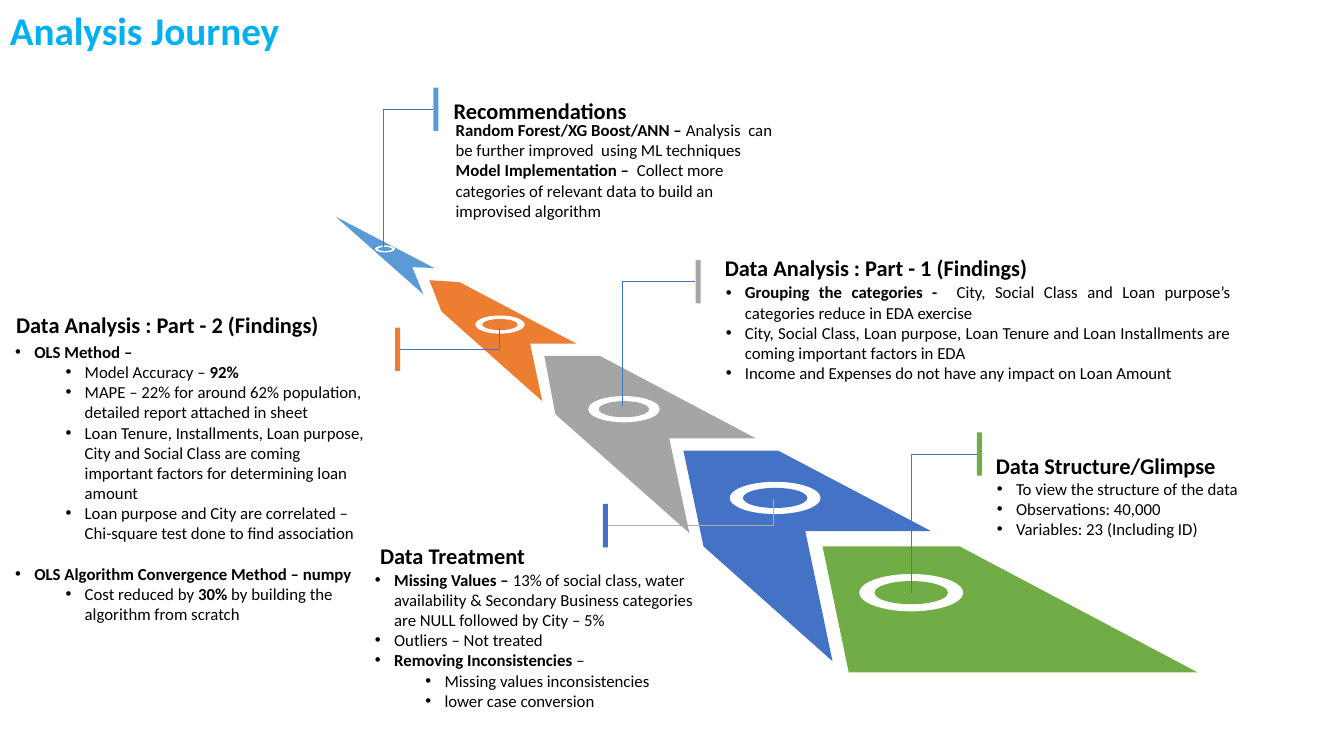
from pptx import Presentation
from pptx import util as u
from pptx.dml.color import RGBColor
from pptx.enum import shapes, text
from pptx.oxml.ns import qn
from lxml import etree

PX = 9144
C = {"green": "70AD47", "gray": "A5A5A5", "orange": "ED7D31", "sky": "5B9BD5",
     "blue": "4472C4", "white": "FFFFFF", "black": "000000", "title": "00B0F0",
     "silver": "AFABAB"}

prs = Presentation()
prs.slide_width, prs.slide_height = u.Inches(13.333), u.Inches(7.5)
s = prs.slides.add_slide(prs.slide_layouts[6])


def add_text(paras, x, y, w, h, size=12, color="black", inset=0, bullet=True,
             anchor=text.MSO_ANCHOR.TOP, align=text.PP_ALIGN.LEFT, spacing=1.0):
    tf = s.shapes.add_textbox(x * PX, y * PX, w * PX, h * PX).text_frame
    tf.word_wrap = True
    tf.vertical_anchor = anchor
    tf.margin_left = tf.margin_right = inset * PX
    tf.margin_top = tf.margin_bottom = 5 * PX
    for i, (level, before, content) in enumerate(paras):
        p = tf.paragraphs[0] if i == 0 else tf.add_paragraph()
        p.level, p.alignment, p.line_spacing = level, align, spacing
        p.space_before = u.Pt(before)
        if bullet:
            pPr = p._p.get_or_add_pPr()
            pPr.set("marL", str((19 + 50 * level) * PX))
            pPr.set("indent", str(-19 * PX))
            etree.SubElement(pPr, qn("a:buFont")).set("typeface", "Arial")
            etree.SubElement(pPr, qn("a:buChar")).set("char", "•")
        for j, part in enumerate(content.split("**")):
            if part:
                r = p.add_run()
                r.text = part
                r.font.name, r.font.size, r.font.bold = "Calibri", u.Pt(size), j % 2 == 1
                r.font.color.rgb = RGBColor.from_string(C[color])


def paint(sp, color):
    sp.shadow.inherit = False
    sp.fill.solid()
    sp.fill.fore_color.rgb = RGBColor.from_string(C[color])
    sp.line.fill.background()


stages = [
    ("green", [(816, 542), (952, 542), (1188, 667), (842, 667)],
     (904, 588, 103), (969, 429), 1, (904, 588), "blue"),
    ("gray", [(664, 435), (750, 435), (595, 353), (540, 353), (551, 411), (684, 529)],
     (619, 406, 71), (690, 258), 1, (617, 403), "blue"),
    ("orange", [(526, 341), (572, 341), (456, 280), (426, 278), (438, 309), (538, 398)],
     (496, 322, 49), (392, 325), 3, (495, 325), "blue"),
    ("sky", [(409, 265), (431, 266), (333, 215), (420, 292)],
     (382, 247, 20), (430, 87), 1, (380, 245), "blue"),
    ("blue", [(799, 527), (924, 527), (772, 447), (678, 447), (698, 542), (826, 656)],
     (769, 494, 90), (598, 500), 3, (767, 495), "silver"),
]

for color, outline, (cx, cy, width), (bar_x, bar_y), side, (end_x, end_y), line in stages:
    fb = s.shapes.build_freeform(*outline[0], scale=PX)
    fb.add_line_segments(outline[1:], close=True)
    paint(fb.convert_to_shape(), color)
    height = width * 0.36
    for w, h, fill in [(width, height, "white"), (width * 0.71, height * 0.62, color)]:
        w, h = round(w), round(h)
        paint(s.shapes.add_shape(shapes.MSO_SHAPE.OVAL, int((cx - w / 2) * PX),
                                 int((cy - h / 2) * PX), w * PX, h * PX), fill)
    bar = s.shapes.add_shape(shapes.MSO_SHAPE.RECTANGLE, bar_x * PX, bar_y * PX, 5 * PX, 43 * PX)
    paint(bar, color)
    link = s.shapes.add_connector(shapes.MSO_CONNECTOR.ELBOW, bar_x * PX, (bar_y + 21) * PX,
                                  end_x * PX, end_y * PX)
    link.begin_connect(bar, side)
    link.line.width = u.Pt(0.5)
    link.line.color.rgb = RGBColor.from_string(C[line])
    spPr = link._element.spPr
    spPr.find(qn("a:prstGeom")).set("prst", "bentConnector2")
    etree.SubElement(spPr, qn("a:effectLst"))

headings = [
    ("Data Structure/Glimpse", 988, 443, 318, 37),
    ("Data Treatment", 377, 532, 318, 37),
    ("Data Analysis : Part - 2 (Findings)", 16, 303, 369, 37),
    ("Data Analysis : Part - 1 (Findings)", 719, 246, 408, 38),
    ("Recommendations", 450, 86, 318, 42),
]
for heading, x, y, w, h in headings:
    add_text([(0, 0, f"**{heading}**")], x, y, w, h, size=16, bullet=False,
             anchor=text.MSO_ANCHOR.BOTTOM)

add_text([
    (0, 0, "To view the structure of the data"),
    (0, 0, "Observations: 40,000"),
    (0, 0, "Variables: 23 (Including ID)"),
], 989, 470, 317, 72, align=text.PP_ALIGN.JUSTIFY)

add_text([
    (0, 0, "**Missing Values – **13% of social class, water availability & "
           "Secondary Business categories are NULL followed by City – 5%"),
    (0, 0, "Outliers – Not treated"),
    (0, 0, "**Removing Inconsistencies** –"),
    (1, 0, "Missing values inconsistencies"),
    (1, 0, "lower case conversion"),
], 372, 560, 334, 151)

add_text([
    (0, 0, "**OLS Method –**"),
    (1, 0, "Model Accuracy – **92%**"),
    (1, 0, "MAPE – 22% for around 62% population, detailed report attached in sheet"),
    (1, 0, "Loan Tenure, Installments, Loan purpose, City and Social Class are coming "
           "important factors for determining loan amount"),
    (1, 0, "Loan purpose and City are correlated – Chi-square test done to find association"),
    (0, 14.5, "**OLS Algorithm Convergence Method – numpy**"),
    (1, 0, "Cost reduced by **30% **by building the algorithm from scratch"),
], 15, 334, 351, 293)

add_text([
    (0, 0, "**Grouping the categories -  **City, Social Class and Loan purpose’s "
           "categories reduce in EDA exercise"),
    (0, 0, "City, Social Class, Loan purpose, Loan Tenure and Loan Installments are "
           "coming important factors in EDA"),
    (0, 0, "Income and Expenses do not have any impact on Loan Amount"),
], 720, 275, 501, 111, align=text.PP_ALIGN.JUSTIFY)

add_text([
    (0, 0, "**Random Forest/XG Boost/ANN – **Analysis  can be further improved  "
           "using ML techniques"),
    (0, 0, "**Model Implementation –**  Collect more categories of relevant data "
           "to build an improvised algorithm"),
], 452, 114, 317, 110, bullet=False)

add_text([(0, 0, "**Analysis Journey**")], 0, 2, 994, 61, size=28, color="title", inset=10,
         bullet=False, anchor=text.MSO_ANCHOR.MIDDLE, spacing=0.9)

prs.save("out.pptx")
